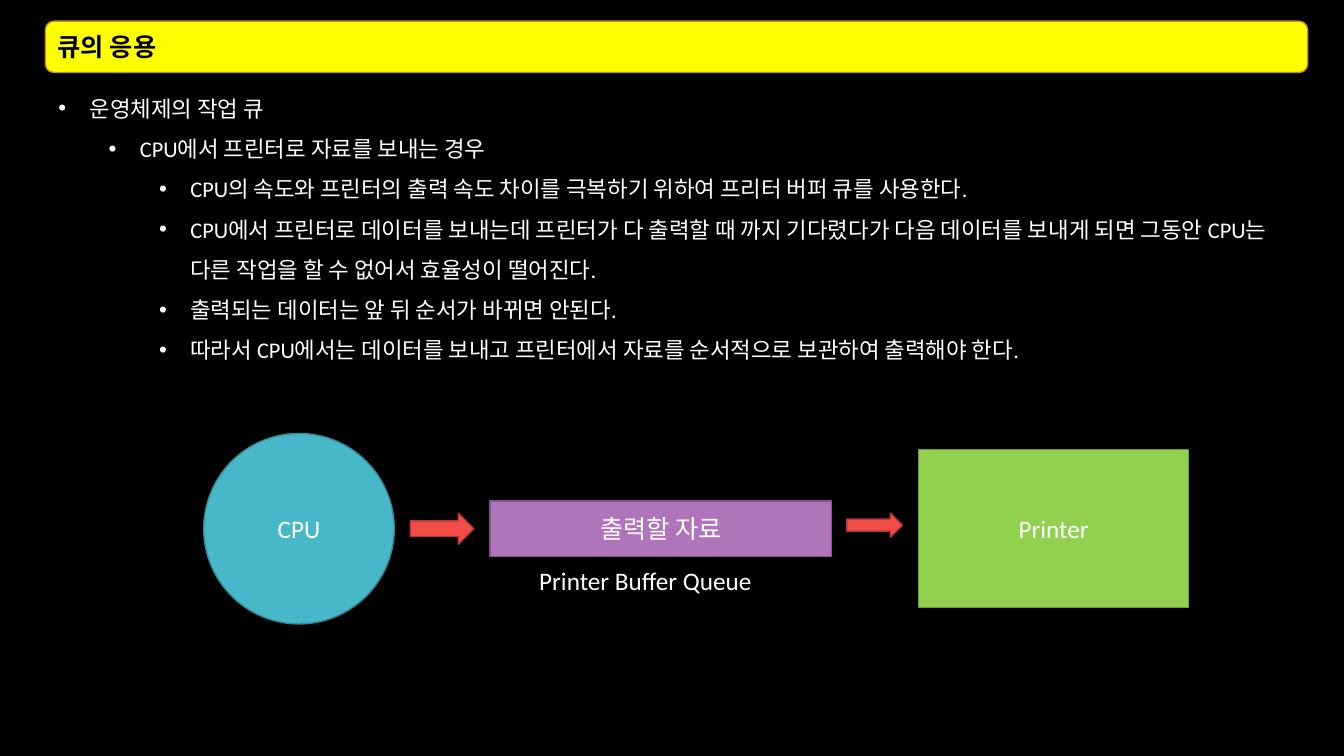
from dataclasses import dataclass

from lxml import etree
from pptx import Presentation
from pptx import util as u
from pptx.dml.color import RGBColor
from pptx.enum import shapes, text
from pptx.oxml import ns


@dataclass(frozen=True)
class Theme:
    font: str = "Calibri"
    body_size: int = 16
    label_size: int = 18
    black: str = "000000"
    white: str = "FFFFFF"
    title: tuple = ("FFFF00", "B79024")
    cpu: tuple = ("47B8C7", "358893")
    queue: tuple = ("B074BA", "82568A")
    printer: tuple = ("92D050", "6C9A3B")
    arrow: tuple = ("F34D47", "B43935")


THEME = Theme()
KIND = shapes.MSO_SHAPE
ALIGN = text.PP_ALIGN
ANCHOR = text.MSO_ANCHOR

OUTLINE = [
    (0, "운영체제의 작업 큐"),
    (1, "CPU에서 프린터로 자료를 보내는 경우"),
    (2, "CPU의 속도와 프린터의 출력 속도 차이를 극복하기 위하여 프리터 버퍼 큐를 사용한다."),
    (2, "CPU에서 프린터로 데이터를 보내는데 프린터가 다 출력할 때 까지 기다렸다가 "
        "다음 데이터를 보내게 되면 그동안 CPU는 다른 작업을 할 수 없어서 효율성이 떨어진다."),
    (2, "출력되는 데이터는 앞 뒤 순서가 바뀌면 안된다."),
    (2, "따라서 CPU에서는 데이터를 보내고 프린터에서 자료를 순서적으로 보관하여 출력해야 한다."),
]


def add_block(page, kind, box, colors):
    """Add a filled, outlined shape without shadow."""
    block = page.shapes.add_shape(kind, *map(u.Inches, box))
    block.shadow.inherit = False
    fill, line = colors
    block.fill.solid()
    block.fill.fore_color.rgb = RGBColor.from_string(fill)
    block.line.color.rgb = RGBColor.from_string(line)
    block.line.width = u.Pt(1)
    return block


def style_para(para, size, color, align=ALIGN.LEFT, bold=False):
    para.alignment = align
    for span in para.runs:
        span.font.name = THEME.font
        span.font.size = u.Pt(size)
        span.font.bold = bold
        span.font.color.rgb = RGBColor.from_string(color)


def write_label(shape, words, color=THEME.white, align=ALIGN.CENTER, bold=False):
    frame = shape.text_frame
    frame.text = words
    frame.word_wrap = True
    frame.vertical_anchor = ANCHOR.MIDDLE
    style_para(frame.paragraphs[0], THEME.label_size, color, align, bold)


def add_bullet(para, level):
    para.level = level
    props = para._p.get_or_add_pPr()
    props.set("marL", str(u.Inches(0.31 + 0.5 * level)))
    props.set("indent", str(u.Inches(-0.31)))
    etree.SubElement(props, ns.qn("a:buFont")).set("typeface", "Arial")
    etree.SubElement(props, ns.qn("a:buChar")).set("char", "•")


def add_outline(page, box):
    panel = add_block(page, KIND.RECTANGLE, box, (THEME.black, THEME.black))
    frame = panel.text_frame
    frame.word_wrap = True
    frame.vertical_anchor = ANCHOR.TOP
    frame.text = "\n".join(words for _, words in OUTLINE)
    for para, (level, _) in zip(frame.paragraphs, OUTLINE):
        style_para(para, THEME.body_size, THEME.white)
        para.line_spacing = 1.5
        add_bullet(para, level)


def add_title(page, box):
    bar = add_block(page, KIND.ROUNDED_RECTANGLE, box, THEME.title)
    write_label(bar, "큐의 응용", THEME.black, ALIGN.LEFT, bold=True)


def add_flow(page, box):
    """Draw CPU, buffer queue and printer, joined by block arrows."""
    left, top, width, height = box

    # Stations: kind, words, colors, offset and size within the box
    stations = [
        (KIND.OVAL, "CPU", THEME.cpu, 0, 0, height, height),
        (KIND.RECTANGLE, "Printer", THEME.printer, width - 2.68, 0.16, 2.68, 1.57),
        (KIND.RECTANGLE, "출력할 자료", THEME.queue, 2.84, 0.67, 3.39, 0.55),
    ]
    for kind, words, colors, x, y, w, h in stations:
        station = add_block(page, kind, (left + x, top + y, w, h), colors)
        write_label(station, words)

    # Arrows between the stations
    for x, w, h in [(2.05, 0.63, 0.31), (6.38, 0.55, 0.24)]:
        add_block(page, KIND.RIGHT_ARROW, (left + x, top + 0.79, w, h), THEME.arrow)

    # Caption under the queue
    caption = page.shapes.add_textbox(
        *map(u.Inches, (left + 3.23, top + 1.26, 2.6, 0.4)))
    write_label(caption, "Printer Buffer Queue", align=ALIGN.LEFT)
    caption.text_frame.vertical_anchor = ANCHOR.TOP
    caption.text_frame.auto_size = text.MSO_AUTO_SIZE.SHAPE_TO_FIT_TEXT


def main():
    deck = Presentation()
    deck.slide_width, deck.slide_height = u.Inches(13.33), u.Inches(7.5)
    page = deck.slides.add_slide(deck.slide_layouts[6])
    page.background.fill.solid()
    page.background.fill.fore_color.rgb = RGBColor.from_string(THEME.black)

    add_outline(page, (0.48, 0.76, 12.48, 6.46))
    add_title(page, (0.45, 0.21, 12.52, 0.51))
    add_flow(page, (2.02, 4.3, 9.77, 1.89))
    deck.save("out.pptx")


if __name__ == "__main__":
    main()
